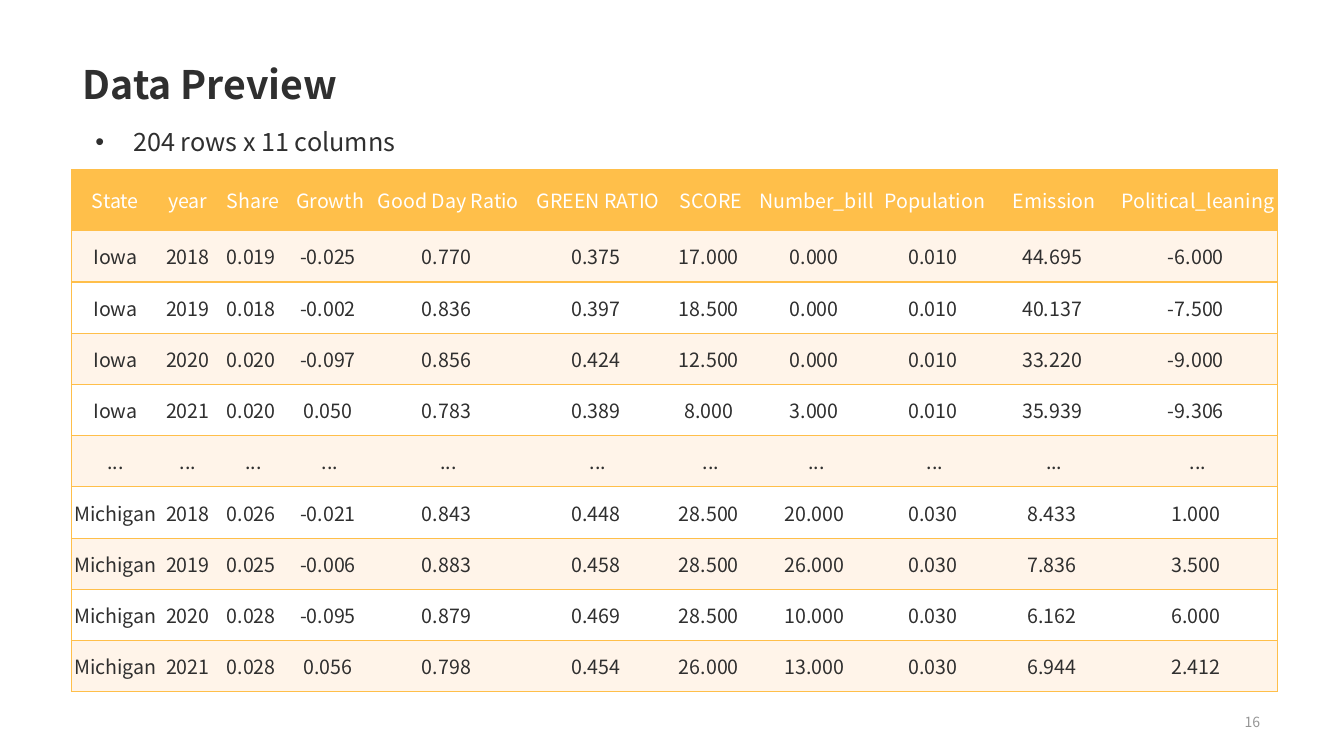
"""Build the data preview slide with its table of state records."""
from dataclasses import dataclass

from lxml import etree
from pptx import Presentation
from pptx.dml.color import RGBColor
from pptx.enum.text import MSO_ANCHOR, MSO_AUTO_SIZE, PP_ALIGN
from pptx.oxml.ns import qn
from pptx.util import Pt

BOTTOM, MIDDLE, TOP = MSO_ANCHOR.BOTTOM, MSO_ANCHOR.MIDDLE, MSO_ANCHOR.TOP
LEFT, CENTER, RIGHT = PP_ALIGN.LEFT, PP_ALIGN.CENTER, PP_ALIGN.RIGHT
NO_AUTOFIT = MSO_AUTO_SIZE.NONE

HEADERS = ["State", "year", "Share", "Growth", "Good Day Ratio", "GREEN RATIO",
           "SCORE", "Number_bill", "Population", "Emission", "Political_leaning"]
RECORDS = """
Iowa 2018 0.019 -0.025 0.770 0.375 17.000 0.000 0.010 44.695 -6.000
Iowa 2019 0.018 -0.002 0.836 0.397 18.500 0.000 0.010 40.137 -7.500
Iowa 2020 0.020 -0.097 0.856 0.424 12.500 0.000 0.010 33.220 -9.000
Iowa 2021 0.020 0.050 0.783 0.389 8.000 3.000 0.010 35.939 -9.306
... ... ... ... ... ... ... ... ... ... ...
Michigan 2018 0.026 -0.021 0.843 0.448 28.500 20.000 0.030 8.433 1.000
Michigan 2019 0.025 -0.006 0.883 0.458 28.500 26.000 0.030 7.836 3.500
Michigan 2020 0.028 -0.095 0.879 0.469 28.500 10.000 0.030 6.162 6.000
Michigan 2021 0.028 0.056 0.798 0.454 26.000 13.000 0.030 6.944 2.412
"""
COLUMN_WIDTHS = [62.6, 41, 52.6, 57, 112.3, 101.5, 59.8, 90.7, 78.5, 92.2, 113.2]
HEADER_HEIGHT, ROW_HEIGHT = 43.6, 36.6


@dataclass(frozen=True)
class Theme:
    font: str = "Noto Sans CJK SC"
    ink: str = "2F2F2F"
    muted: str = "969696"
    accent: str = "FFBF4A"
    band: str = "FFF4E9"
    paper: str = "FFFFFF"
    title_size: int = 28
    list_size: int = 18
    table_size: int = 14
    number_size: int = 10
    border_width: int = 1
    decimal_gap: int = 3


class Page:
    def __init__(self, slide, theme):
        self.slide = slide
        self.theme = theme

    def add_text(self, para, text, size, color, bold=False, align=LEFT):
        para.alignment = align
        span = para.add_run()
        span.text = text
        span.font.name = self.theme.font
        span.font.size = Pt(size)
        span.font.bold = bold
        span.font.color.rgb = RGBColor.from_string(color)

    def place(self, box, left, top, width, height, anchor):
        box.left, box.top, box.width, box.height = map(Pt, (left, top, width, height))
        frame = box.text_frame
        frame.word_wrap = True
        frame.auto_size = NO_AUTOFIT
        frame.vertical_anchor = anchor
        return frame.paragraphs[0]

    def title(self, text, *bounds):
        para = self.place(self.slide.shapes.title, *bounds, BOTTOM)
        para.line_spacing = 0.9
        self.add_text(para, text, self.theme.title_size, self.theme.ink, bold=True)

    def bullet(self, text, *bounds):
        para = self.place(self.slide.placeholders[1], *bounds, TOP)
        para.line_spacing = 0.9
        para.space_before = Pt(10)
        self.add_text(para, text, self.theme.list_size, self.theme.ink)
        properties = para._p.get_or_add_pPr()
        properties.set("marL", str(Pt(36)))
        properties.set("indent", str(Pt(-27)))
        color = etree.SubElement(properties, qn("a:buClr"))
        etree.SubElement(color, qn("a:srgbClr"), val=self.theme.ink)
        etree.SubElement(properties, qn("a:buFont"), typeface="Arial")
        etree.SubElement(properties, qn("a:buChar"), char="•")

    def page_number(self, text, *bounds):
        box = self.slide.shapes.add_textbox(*map(Pt, bounds))
        para = self.place(box, *bounds, MIDDLE)
        self.add_text(para, text, self.theme.number_size, self.theme.muted, align=RIGHT)

    def borders(self, cell, first, last):
        sides = {"a:lnL": first, "a:lnR": last, "a:lnT": True, "a:lnB": True}
        for side, visible in sides.items():
            line = etree.SubElement(cell._tc.get_or_add_tcPr(), qn(side),
                                    w=str(Pt(self.theme.border_width)))
            if visible:
                fill = etree.SubElement(line, qn("a:solidFill"))
                etree.SubElement(fill, qn("a:srgbClr"), val=self.theme.accent)
            else:
                etree.SubElement(line, qn("a:noFill"))

    def cell(self, cell, text, fill, color, first, last):
        is_decimal = "." in text.strip(".")
        cell.margin_left = cell.margin_top = cell.margin_bottom = 0
        cell.margin_right = Pt(self.theme.decimal_gap if is_decimal else 0)
        cell.vertical_anchor = MIDDLE
        self.borders(cell, first, last)
        cell.fill.solid()
        cell.fill.fore_color.rgb = RGBColor.from_string(fill)
        self.add_text(cell.text_frame.paragraphs[0], text, self.theme.table_size,
                      color, align=CENTER)

    def table(self, rows, left, top):
        theme = self.theme
        heights = [HEADER_HEIGHT] + [ROW_HEIGHT] * (len(rows) - 1)
        table = self.slide.shapes.add_table(
            len(rows), len(COLUMN_WIDTHS), Pt(left), Pt(top),
            Pt(sum(COLUMN_WIDTHS)), Pt(sum(heights))).table
        table.first_row = table.horz_banding = False
        for column, width in zip(table.columns, COLUMN_WIDTHS):
            column.width = Pt(width)
        for r, (values, height) in enumerate(zip(rows, heights)):
            table.rows[r].height = Pt(height)
            fill = theme.accent if r == 0 else theme.band if r % 2 else theme.paper
            color = theme.ink if r else theme.paper
            for c, text in enumerate(values):
                self.cell(table.cell(r, c), text, fill, color,
                          c == 0, c == len(values) - 1)


def main():
    deck = Presentation()
    deck.slide_width, deck.slide_height = Pt(960), Pt(540)
    page = Page(deck.slides.add_slide(deck.slide_layouts[1]), Theme())
    page.title("Data Preview", 52, 0, 855.4, 80.6)
    page.bullet("204 rows x 11 columns", 52, 89.3, 855.4, 393.8)
    page.page_number("16", 697.7, 506.9, 209.5, 17.3)
    records = [line.split() for line in RECORDS.strip().splitlines()]
    page.table([HEADERS] + records, 51.1, 121.2)
    deck.save("out.pptx")


if __name__ == "__main__":
    main()
